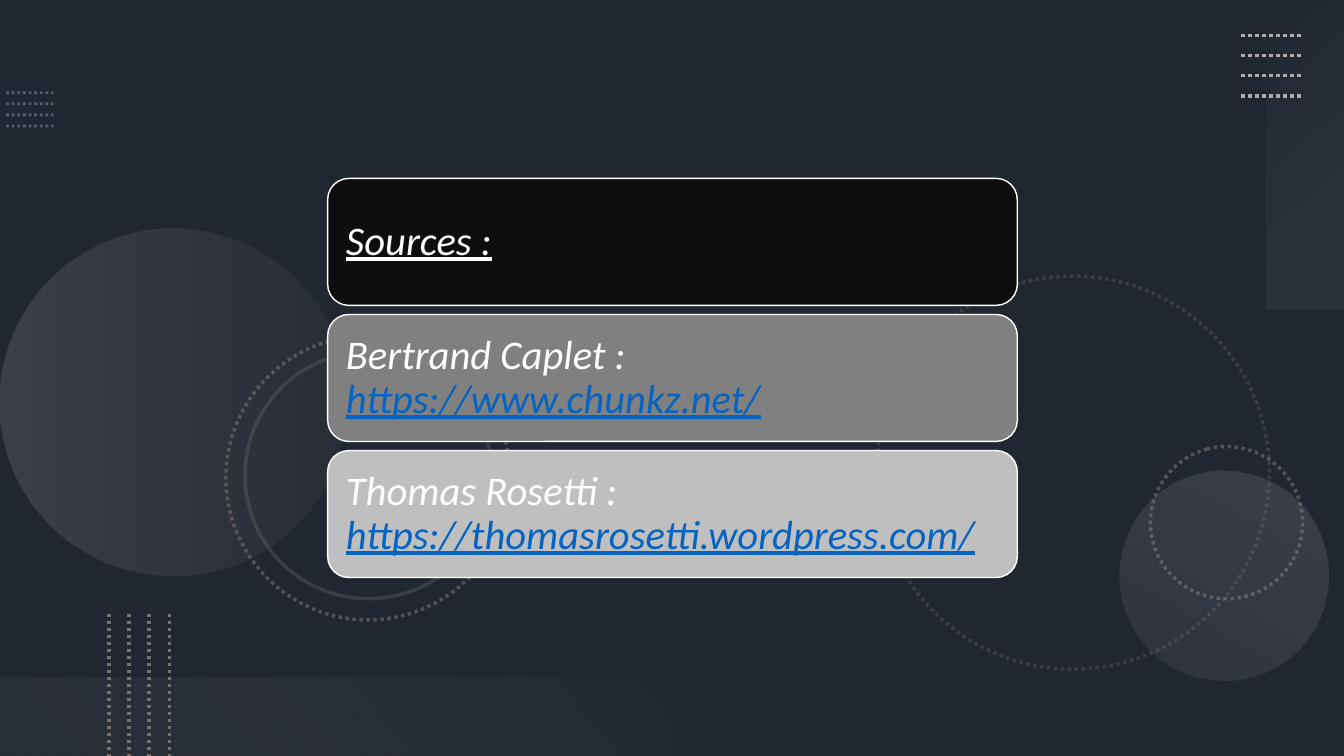
"""Build the sources slide: three rounded boxes over a dark decorated background."""
import pptx
import pptx.util
import pptx.oxml
import pptx.oxml.ns
import pptx.dml.color
import pptx.enum.dml
import pptx.enum.shapes
import pptx.enum.text

Inches = pptx.util.Inches
SHAPES = pptx.enum.shapes.MSO_SHAPE
COLORS = {
    "slate": "44546A", "black": "000000", "blue_grey": "8497B0",
    "grey": "767171", "silver": "AFABAB", "smoke": "F5F5F5", "mist": "F1F0F0",
    "coal": "0D0D0D", "mid": "808080", "light": "BFBFBF",
    "white": "FFFFFF", "link": "0563C1",
}


class SlideArtist:
    """Hold the style and the current slide, and draw each kind of element."""

    def __init__(self, slide, font, size):
        self.slide = slide
        self.font = font
        self.size = pptx.util.Pt(size)

    def color(self, name):
        return pptx.dml.color.RGBColor.from_string(COLORS[name])

    def background(self, name):
        fill = self.slide.background.fill
        fill.solid()
        fill.fore_color.rgb = self.color(name)

    def fade(self, properties, opacity):
        for tint in properties.iter(pptx.oxml.ns.qn("a:srgbClr")):
            alpha = tint.makeelement(pptx.oxml.ns.qn("a:alpha"), {"val": str(opacity * 1000)})
            tint.append(alpha)

    def stroke(self, line, name, width, dotted=False):
        line.color.rgb = self.color(name)
        line.width = pptx.util.Pt(width)
        if dotted:
            line.dash_style = pptx.enum.dml.MSO_LINE.ROUND_DOT

    def shape(self, kind, left, top, width, height, rotation=0):
        shape = self.slide.shapes.add_shape(
            kind, Inches(left), Inches(top), Inches(width), Inches(height))
        shape.shadow.inherit = False
        shape.rotation = rotation
        shape.fill.background()
        shape.line.fill.background()
        return shape

    def veil(self, width, height, name, opacity):
        veil = self.shape(SHAPES.RECTANGLE, 0, 0, width, height)
        veil.fill.solid()
        veil.fill.fore_color.rgb = self.color(name)
        self.fade(veil.fill._xPr, opacity)

    def ring(self, left, top, size, opacity, dotted=True):
        ring = self.shape(SHAPES.OVAL, left, top, size, size, 75)
        self.stroke(ring.line, "grey", 2.5, dotted)
        self.fade(ring.line._ln, opacity)

    def gradient(self, kind, left, top, width, height, rotation, angle, stops):
        shape = self.shape(kind, left, top, width, height, rotation)
        marks = "".join(
            f'<a:gs pos="{place * 1000}"><a:srgbClr val="{COLORS[name]}">'
            f'<a:alpha val="{opacity * 1000}"/></a:srgbClr></a:gs>'
            for place, name, opacity in stops)
        gradient = pptx.oxml.parse_xml(
            f'<a:gradFill {pptx.oxml.ns.nsdecls("a")} rotWithShape="1"><a:gsLst>{marks}'
            f'</a:gsLst><a:lin ang="{angle * 60000}" scaled="0"/></a:gradFill>')
        properties = shape._element.spPr
        properties.replace(properties.find(pptx.oxml.ns.qn("a:noFill")), gradient)

    def dotted_lines(self, start, end, step, name, width, opacity=100, count=4):
        for index in range(count):
            shift_x, shift_y = step[0] * index, step[1] * index
            line = self.slide.shapes.add_connector(
                pptx.enum.shapes.MSO_CONNECTOR.STRAIGHT,
                Inches(start[0] + shift_x), Inches(start[1] + shift_y),
                Inches(end[0] + shift_x), Inches(end[1] + shift_y))
            self.stroke(line.line, name, width, True)
            self.fade(line.line._ln, opacity)
            properties = line._element.spPr
            properties.append(properties.makeelement(pptx.oxml.ns.qn("a:effectLst"), {}))

    def source_box(self, top, fill, spans):
        box = self.shape(SHAPES.ROUNDED_RECTANGLE, 3.25, top, 6.84, 1.26)
        box.fill.solid()
        box.fill.fore_color.rgb = self.color(fill)
        self.stroke(box.line, "white", 1)
        frame = box.text_frame
        frame.word_wrap = True
        frame.vertical_anchor = pptx.enum.text.MSO_ANCHOR.MIDDLE
        frame.margin_left = frame.margin_right = Inches(0.12)
        frame.margin_top = frame.margin_bottom = Inches(0.12)
        para = frame.paragraphs[0]
        para.alignment = pptx.enum.text.PP_ALIGN.LEFT
        para.line_spacing = 0.9
        para.font.name = self.font
        para.font.size = self.size
        para.font.italic = True
        for text, name, underlined in spans:
            span = para.add_run()
            span.text = text
            span.font.color.rgb = self.color(name)
            if underlined:
                span.font.underline = True


def main():
    deck = pptx.Presentation()
    deck.slide_width, deck.slide_height = Inches(13.33), Inches(7.5)
    page = SlideArtist(deck.slides.add_slide(deck.slide_layouts[6]), "Calibri", 29)

    page.background("slate")
    page.veil(13.33, 7.5, "black", 53)
    page.dotted_lines((0.06, 0.92), (0.53, 0.92), (0, 0.11), "blue_grey", 2, 50)

    page.ring(8.69, 2.74, 3.9, 30)
    page.ring(11.41, 4.43, 1.51, 60)
    page.gradient(SHAPES.OVAL, 0, 2.27, 3.44, 3.44, 270, 90,
                  [(0, "silver", 20), (100, "grey", 10)])
    page.gradient(SHAPES.OVAL, 11.1, 4.67, 2.08, 2.08, 210, 90,
                  [(0, "silver", 10), (100, "silver", 20)])
    page.ring(2.24, 3.33, 2.82, 60)
    page.ring(2.43, 3.49, 2.45, 30, dotted=False)

    page.gradient(SHAPES.RECTANGLE, 11.42, 1.14, 3.06, 0.78, 270, 140,
                  [(0, "smoke", 0), (100, "silver", 10)])
    page.dotted_lines((12.31, 0.35), (12.91, 0.35), (0, 0.2), "silver", 2.5)
    page.gradient(SHAPES.RECTANGLE, 0, 6.72, 6.67, 0.78, 180, 140,
                  [(10, "grey", 10), (100, "mist", 0)])
    page.dotted_lines((1.08, 6.09), (1.08, 7.5), (0.2, 0), "grey", 2.5)

    sources = [
        ("coal", [("Sources :", "white", True)]),
        ("mid", [("Bertrand Caplet : ", "white", False),
                 ("https://www.chunkz.net/", "link", True)]),
        ("light", [("Thomas Rosetti : ", "white", False),
                   ("https://thomasrosetti.wordpress.com/", "link", True)]),
    ]
    for index, (fill, spans) in enumerate(sources):
        page.source_box(1.77 + 1.35 * index, fill, spans)

    deck.save("out.pptx")


if __name__ == "__main__":
    main()
